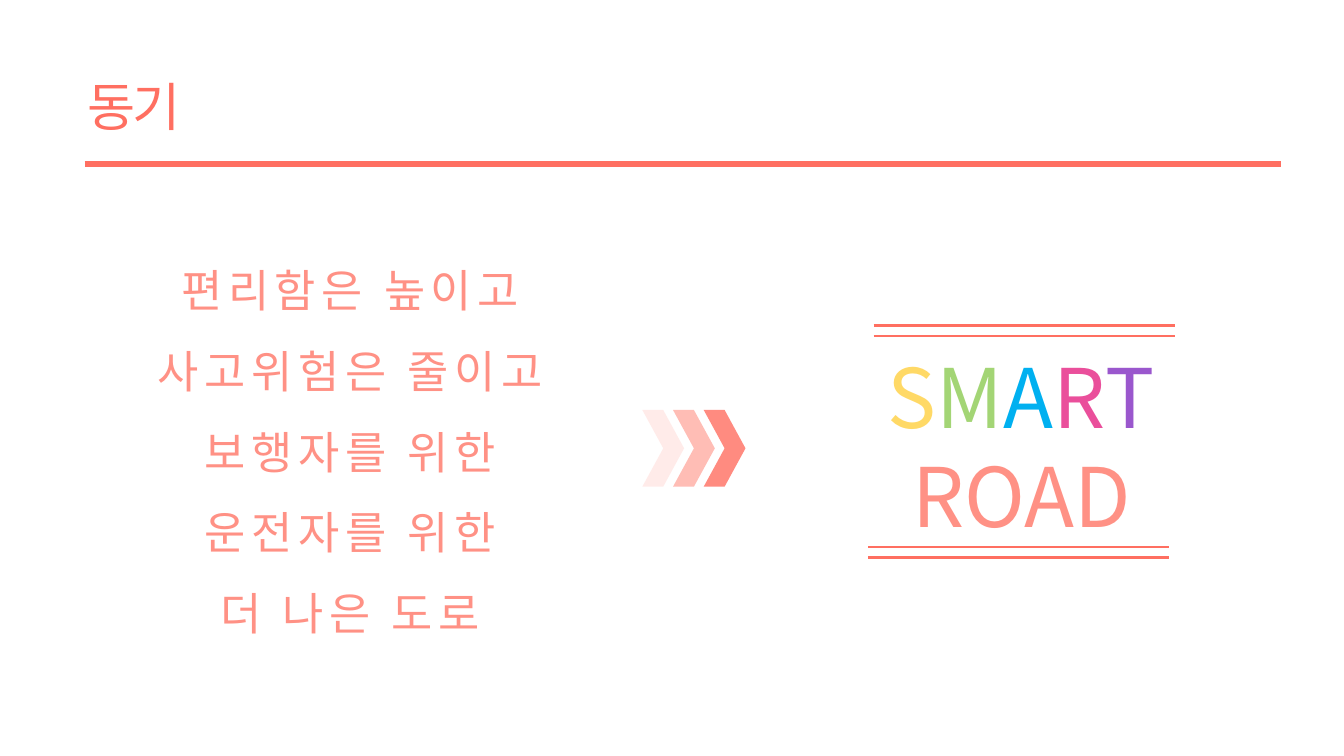
from lxml import etree
from pptx import Presentation
from pptx.dml.color import RGBColor
from pptx.enum.shapes import MSO_CONNECTOR, MSO_SHAPE
from pptx.enum.text import MSO_AUTO_SIZE, PP_ALIGN
from pptx.oxml.ns import qn
from pptx.util import Cm, Pt

STRAIGHT = MSO_CONNECTOR.STRAIGHT
CHEVRON = MSO_SHAPE.CHEVRON
FIT_TEXT = MSO_AUTO_SIZE.SHAPE_TO_FIT_TEXT
LEFT, CENTER = PP_ALIGN.LEFT, PP_ALIGN.CENTER

FONT = "Noto Sans CJK KR"
COLORS = {
    "coral": "FF6F61", "salmon": "FF9185", "blush": "FFACA3",
    "yellow": "FFD966", "green": "A3D575", "blue": "00B0F0",
    "pink": "EA4F9B", "purple": "9A57CD",
}
GOALS = ["편리함은 높이고", "사고위험은 줄이고", "보행자를 위한", "운전자를 위한", "더 나은 도로"]
SLOGAN = [
    [("S", "yellow"), ("M", "green"), ("A", "blue"), ("R", "pink"), ("T", "purple")],
    [("ROAD", "salmon")],
]


def rgb(color):
    """Return the named colour."""
    return RGBColor.from_string(COLORS[color])


def add_text(slide, box, lines, size, align=LEFT, line_spacing=None, tracking=0, wrap=True):
    """Write lines of (text, colour) runs into a box."""
    frame = slide.shapes.add_textbox(*map(Cm, box)).text_frame
    frame.word_wrap = wrap
    frame.auto_size = FIT_TEXT
    for index, line in enumerate(lines):
        paragraph = frame.add_paragraph() if index else frame.paragraphs[0]
        paragraph.alignment = align
        paragraph.line_spacing = line_spacing
        for text, color in line:
            run = paragraph.add_run()
            run.text = text
            run.font.size = Pt(size)
            run.font.name = FONT
            run.font.color.rgb = rgb(color)
            properties = run.font._element
            etree.SubElement(properties, qn("a:ea")).set("typeface", FONT)
            if tracking:
                properties.set("spc", str(int(tracking * 100)))


def add_rule(slide, left, top, width, weight):
    """Draw a horizontal coral rule."""
    rule = slide.shapes.add_connector(STRAIGHT, Cm(left), Cm(top), Cm(left + width), Cm(top))
    rule.line.color.rgb = rgb("coral")
    rule.line.width = Pt(weight)
    etree.SubElement(rule._element.spPr, qn("a:effectLst"))


def add_heading(slide, left, top, width, height):
    """Place the slide title above its full-width rule."""
    add_text(slide, (left, top, width, height), [[("동기", "coral")]], 28, tracking=-1.5)
    add_rule(slide, left + 0.2, top + 1.83, 22.6, 3)


def add_goals(slide, left, top, width, height):
    """Place the centred list of goals."""
    lines = [[(goal, "salmon")] for goal in GOALS]
    add_text(slide, (left, top, width, height), lines, 24, CENTER, 1.5, 3)


def add_chevrons(slide, left, top, width, height):
    """Place three chevrons that fade out towards the left."""
    chevron_width = 0.79
    step = (width - chevron_width) / 2
    fades = [(2, "coral", 80), (1, "salmon", 60), (0, "blush", 23)]
    for position, color, opacity in fades:
        chevron = slide.shapes.add_shape(
            CHEVRON, Cm(left + position * step), Cm(top), Cm(chevron_width), Cm(height))
        chevron.shadow.inherit = False
        chevron.line.fill.background()
        chevron.fill.solid()
        chevron.fill.fore_color.rgb = rgb(color)
        fill_color = chevron._element.spPr.find(qn("a:solidFill"))[0]
        etree.SubElement(fill_color, qn("a:alpha")).set("val", str(opacity * 1000))


def add_slogan(slide, left, top, width, height):
    """Place the slogan between two pairs of rules."""
    for indent, offset in [(0.2, -0.28), (0.1, 3.91)]:
        for gap in (0, 0.2):
            add_rule(slide, left + indent, top + offset + gap, width - 0.3, 1.5)
    add_text(slide, (left, top, width, height), SLOGAN, 44, CENTER, wrap=False)


def main():
    """Build and save the slide."""
    presentation = Presentation()
    presentation.slide_width, presentation.slide_height = Cm(25.4), Cm(14.29)
    slide = presentation.slides.add_slide(presentation.slide_layouts[6])
    add_heading(slide, 1.4, 1.27, 24.87, 1.45)
    add_chevrons(slide, 12.14, 7.75, 1.95, 1.45)
    add_goals(slide, 2.11, 4.34, 9.02, 7.95)
    add_slogan(slide, 16.31, 6.43, 5.99, 4.01)
    presentation.save("out.pptx")


if __name__ == "__main__":
    main()
